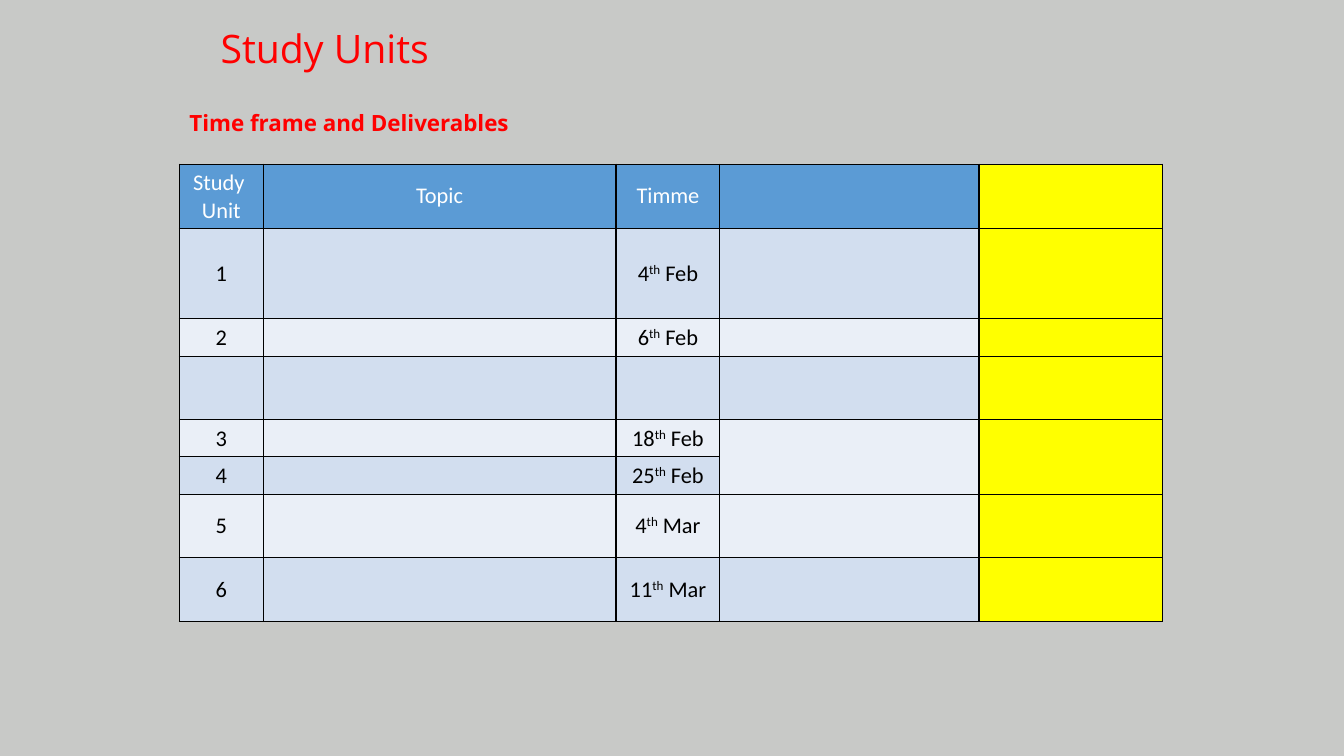
"""Build the Study Units slide with its timetable."""
from lxml.etree import SubElement
from pptx import Presentation
from pptx.dml.color import RGBColor as Color
from pptx.enum.text import MSO_ANCHOR as Anchor, PP_ALIGN as Align
from pptx.oxml.ns import qn
from pptx.util import Inches, Pt

TITLE = "Study Units"
SUBTITLE = "Time frame and Deliverables"
HEADER = ("Study \nUnit", "Topic", "Timme", "", "")
UNITS = [
    ("1", "4", "Feb"),
    ("2", "6", "Feb"),
    ("", "", ""),
    ("3", "18", "Feb"),
    ("4", "25", "Feb"),
    ("5", "4", "Mar"),
    ("6", "11", "Mar"),
]
COLUMN_WIDTHS = (0.83, 3.5, 1.03, 2.57, 1.82)
ROW_HEIGHTS = (0.63, 0.9, 0.37, 0.63, 0.37, 0.37, 0.63, 0.63)
TABLE_LEFT, TABLE_TOP = 1.78, 1.63
DATE_COLUMN, YELLOW_COLUMN = 2, 4
MERGED_ROWS, MERGED_COLUMNS = (4, 5), (3, 4)

THEME = {
    "background": "C8C9C7", "heading": "FF0000", "header": "5B9BD5",
    "bands": ("EAEFF7", "D2DEEF"), "yellow": "FFFF00",
    "light": "FFFFFF", "dark": "000000", "border": "000000",
    "heading_font": "Open Sans", "table_font": "Calibri",
    "title_size": 28, "body_size": 16, "border_width": 1,
}


def set_font(font, name, size, color, bold=False):
    font.name, font.size, font.bold = name, Pt(size), bold
    font.color.rgb = Color.from_string(color)


def add_heading(slide, text, left, top, height, size, spacing, bold=False):
    box = slide.shapes.add_textbox(Inches(left), Inches(top), Inches(8.25), Inches(height))
    box.text_frame.word_wrap = True
    para = box.text_frame.paragraphs[0]
    para.text, para.line_spacing = text, spacing
    set_font(para.font, THEME["heading_font"], size, THEME["heading"], bold)


def add_borders(cell):
    properties = cell._tc.get_or_add_tcPr()
    for side in ("lnL", "lnR", "lnT", "lnB"):
        line = SubElement(properties, qn(f"a:{side}"), w=str(Pt(THEME["border_width"])))
        fill = SubElement(line, qn("a:solidFill"))
        SubElement(fill, qn("a:srgbClr"), val=THEME["border"])


def write_date(para, day, month):
    for text in (day, "th", f" {month}"):
        span = para.add_run()
        span.text = text
        if text == "th":
            span.font._element.set("baseline", "30000")


def cell_color(row, column):
    if column == YELLOW_COLUMN:
        return THEME["yellow"]
    return THEME["bands"][row % 2] if row else THEME["header"]


def fill_cell(cell, row, column):
    add_borders(cell)
    cell.fill.solid()
    cell.fill.fore_color.rgb = Color.from_string(cell_color(row, column))
    cell.vertical_anchor = Anchor.MIDDLE
    if row == 0:
        cell.text = HEADER[column]
    else:
        unit, day, month = UNITS[row - 1]
        if column == 0:
            cell.text = unit
        elif column == DATE_COLUMN and day:
            write_date(cell.text_frame.paragraphs[0], day, month)
    if not cell.text:
        cell.margin_top = cell.margin_bottom = 0
    for para in cell.text_frame.paragraphs:
        para.alignment = Align.CENTER
        set_font(para.font, THEME["table_font"], THEME["body_size"],
                 THEME["dark" if row else "light"])


def add_timetable(slide):
    table = slide.shapes.add_table(
        len(ROW_HEIGHTS), len(COLUMN_WIDTHS), Inches(TABLE_LEFT), Inches(TABLE_TOP),
        Inches(sum(COLUMN_WIDTHS)), Inches(sum(ROW_HEIGHTS))).table
    for column, width in zip(table.columns, COLUMN_WIDTHS):
        column.width = Inches(width)
    for row, height in enumerate(ROW_HEIGHTS):
        table.rows[row].height = Inches(height)
        for column in range(len(COLUMN_WIDTHS)):
            fill_cell(table.cell(row, column), row, column)
    first, last = MERGED_ROWS
    for column in MERGED_COLUMNS:
        table.cell(first, column).merge(table.cell(last, column))


def main():
    deck = Presentation()
    deck.slide_width, deck.slide_height = Inches(13.33), Inches(7.5)
    slide = deck.slides.add_slide(deck.slide_layouts[6])
    slide.background.fill.solid()
    slide.background.fill.fore_color.rgb = Color.from_string(THEME["background"])
    add_heading(slide, TITLE, 2.09, 0.24, 0.67, THEME["title_size"], 0.9)
    add_heading(slide, SUBTITLE, 1.78, 1.09, 0.33, THEME["body_size"], 0.8, bold=True)
    add_timetable(slide)
    deck.save("out.pptx")


if __name__ == "__main__":
    main()
